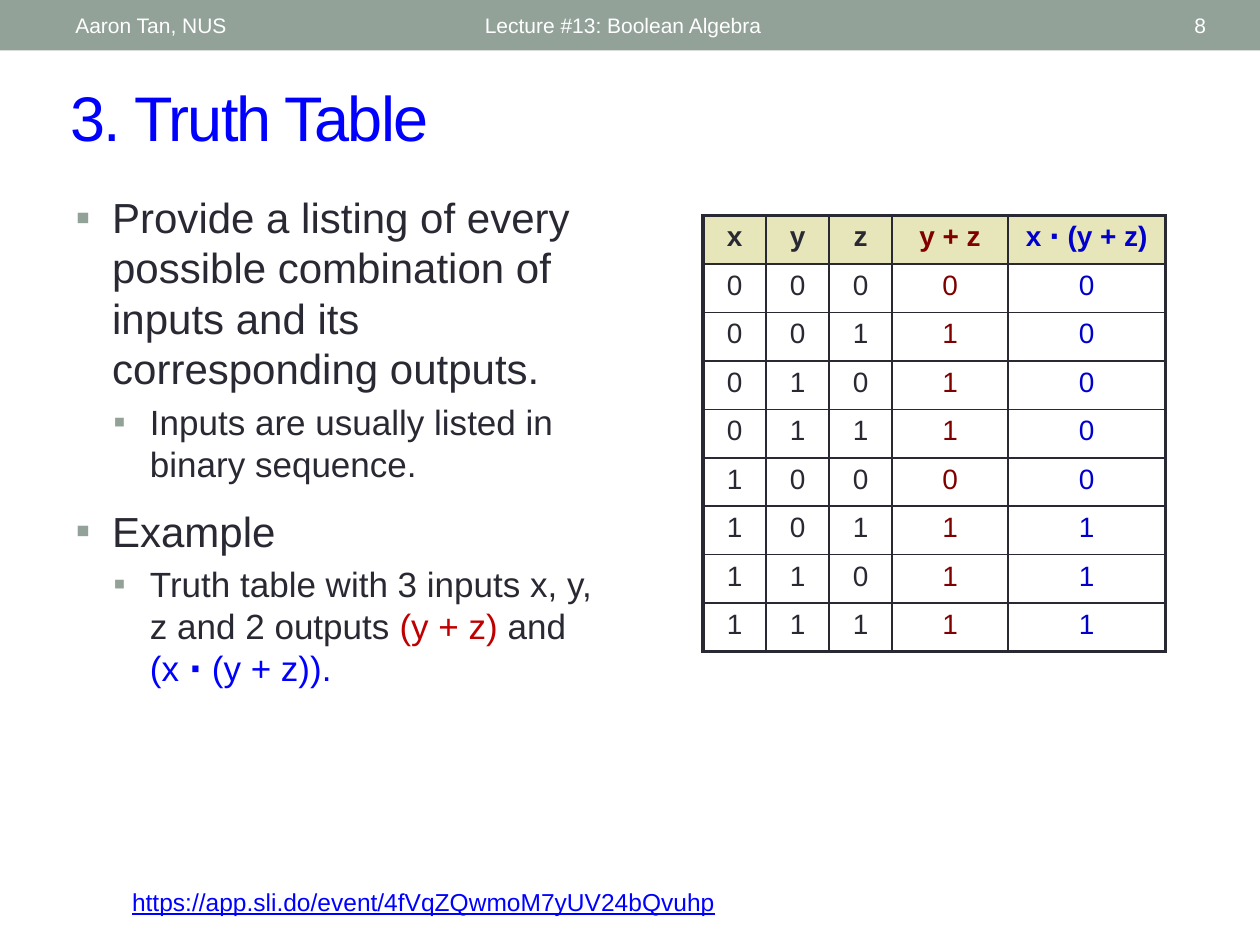
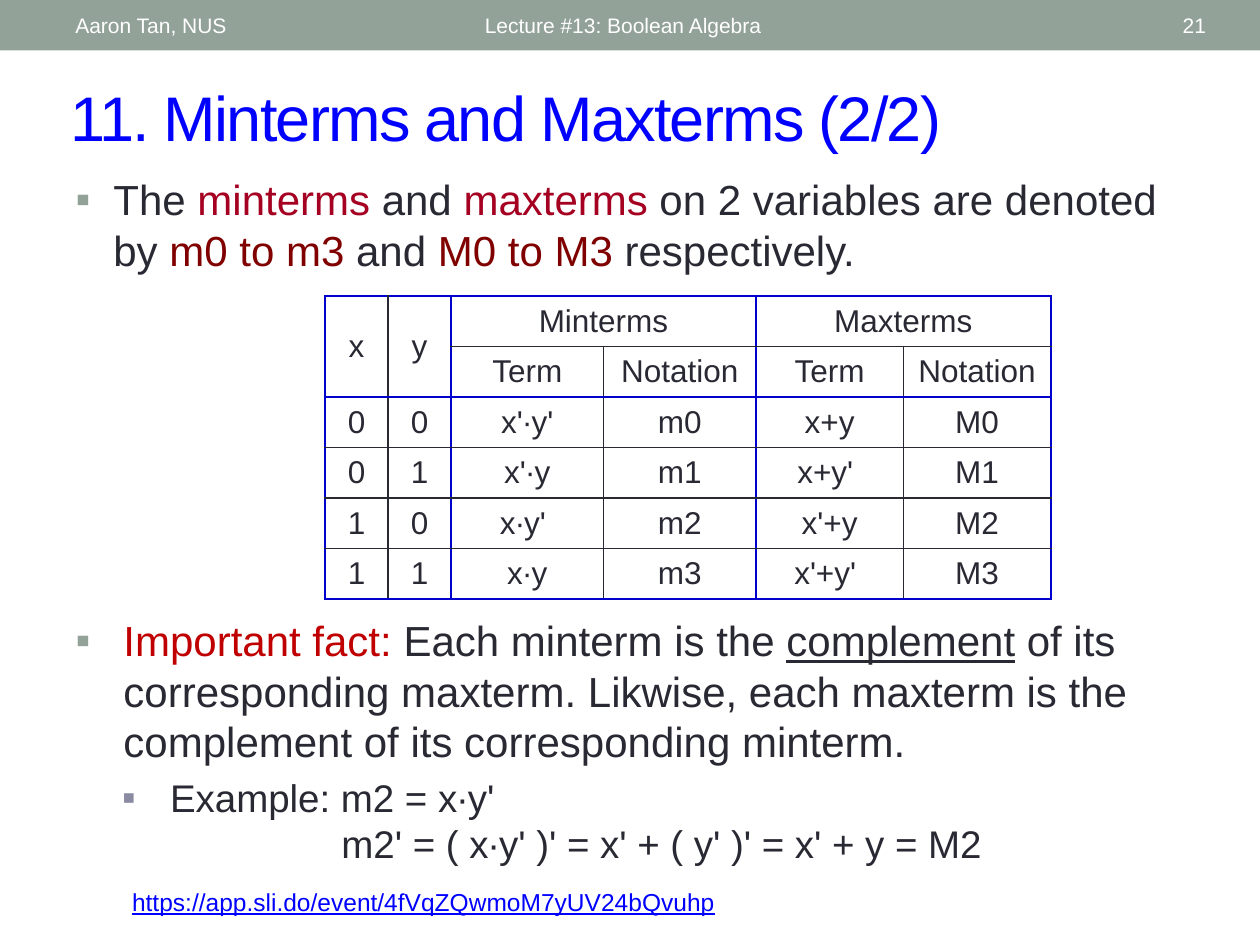
from lxml.etree import SubElement
from pptx import Presentation
from pptx.dml.color import RGBColor
from pptx.enum.shapes import MSO_SHAPE
from pptx.enum.text import MSO_ANCHOR, MSO_AUTO_SIZE, PP_ALIGN
from pptx.oxml.ns import qn
from pptx.util import Inches, Pt

COLOURS = {
    "band": "93A299", "white": "FFFFFF", "title": "0000FF", "ink": "292934",
    "red": "C00000", "crimson": "A50021", "maroon": "800000", "navy": "0000CC",
    "header": "E7E5BA", "lilac": "8A8AA3",
}
FONT = "Arial"
LINK = "https://app.sli.do/event/4fVqZQwmoM7yUV24bQvuhp"


def style(span, size, colour, look=""):
    span.font.name = FONT
    span.font.size = Pt(size)
    span.font.color.rgb = RGBColor.from_string(COLOURS[colour])
    span.font.bold = look == "bold"
    span.font.underline = look == "underline"


def add_line(parent, tag, colour, width):
    line = SubElement(parent, qn(tag), w=str(Pt(width)))
    fill = SubElement(line, qn("a:solidFill"))
    SubElement(fill, qn("a:srgbClr"), val=COLOURS[colour])


truth_list = [
    dict(size=24, margin=0.29, hang=0.29, before=0, bullet="band", spans=[
        ("Provide a listing of every possible combination of inputs "
         "and its corresponding outputs.", "ink")]),
    dict(level=1, size=20, margin=0.59, hang=0.29, before=4, bullet="band", spans=[
        ("Inputs are usually listed in binary sequence.", "ink")]),
    dict(size=24, margin=0.29, hang=0.29, before=12, bullet="band", spans=[
        ("Example", "ink")]),
    dict(level=1, size=20, margin=0.59, hang=0.29, before=4, bullet="band", spans=[
        ("Truth table with 3 inputs x, y, z and 2 outputs ", "ink"),
        ("(y + z) ", "red"), ("and \v", "ink"),
        ("(x ", "title"), ("⋅ ", "title", "bold"), ("(y + z)).", "title")]),
]
notation_list = [
    dict(size=24, margin=0.3, hang=0.3, before=0, bullet="band", spans=[
        ("The ", "ink"), ("minterms", "crimson"), (" and ", "ink"),
        ("maxterms", "crimson"), (" on 2 variables are denoted by ", "ink"),
        ("m0 to m3", "maroon"), (" and ", "ink"), ("M0 to M3", "maroon"),
        (" respectively.", "ink")]),
]
fact_list = [
    dict(size=24, margin=0.38, hang=0.38, before=0, bullet="band", spans=[
        ("Important fact: ", "red"), ("Each minterm is the ", "ink"),
        ("complement", "ink", "underline"),
        (" of its corresponding maxterm. Likwise, each maxterm is the "
         "complement of its corresponding minterm.", "ink")]),
    dict(level=1, size=22, margin=0.75, hang=0.38, before=4.4, bullet="lilac", spans=[
        ("Example: m2 = x∙y'", "ink")]),
    dict(level=1, size=22, margin=2.11, hang=0, before=0, bullet=None, spans=[
        ("m2' = ( x∙y' )' = x' + ( y' )' = x' + y = M2", "ink")]),
]

truth_rows = [["x", "y", "z", "y + z", "x ⋅ (y + z)"]]
for number in range(8):
    x, y, z = number >> 2, number >> 1 & 1, number & 1
    truth_rows.append([str(bit) for bit in (x, y, z, y | z, x & (y | z))])

term_rows = [
    ["x", "y", "Minterms", "", "Maxterms", ""],
    ["", "", "Term", "Notation", "Term", "Notation"],
    ["0", "0", "x'∙y'", "m0", "x+y", "M0"],
    ["0", "1", "x'∙y", "m1", "x+y' ", "M1"],
    ["1", "0", "x∙y' ", "m2", "x'+y", "M2"],
    ["1", "1", "x∙y", "m3", "x'+y' ", "M3"],
]

slides = [
    dict(title="3. Truth Table", number="8",
         bodies=[((0.5, 1.47, 4.5, 4.08), truth_list)],
         table=dict(rows=truth_rows, left=5.58, top=1.71, row_height=0.385,
                    widths=[0.5, 0.5, 0.5, 0.92, 1.25], size=16,
                    inks=["ink"] * 3 + ["maroon", "navy"], merges=[],
                    header="header", anchor=MSO_ANCHOR.TOP,
                    strong=("ink", 2.25), strong_x={0, 5}, strong_y={0, 9})),
    dict(title="11. Minterms and Maxterms (2/2)", number="21",
         bodies=[((0.5, 1.33, 8.83, 1), notation_list),
                 ((0.5, 4.83, 9, 2.35), fact_list)],
         table=dict(rows=term_rows, left=2.58, top=2.35, row_height=0.38,
                    widths=[0.5, 0.5, 1.21, 1.21, 1.17, 1.17], size=18,
                    inks=["ink"] * 6,
                    merges=[(0, 0, 1, 0), (0, 1, 1, 1), (0, 2, 0, 3), (0, 4, 0, 5)],
                    header=None, anchor=MSO_ANCHOR.MIDDLE,
                    strong=("navy", 1.5), strong_x={0, 2, 4, 6}, strong_y={0, 2, 6})),
]

deck = Presentation()
deck.slide_width = Inches(10)
deck.slide_height = Inches(7.5)

for content in slides:
    page = deck.slides.add_slide(deck.slide_layouts[1 if len(content["bodies"]) == 1 else 3])

    band = page.shapes.add_shape(MSO_SHAPE.RECTANGLE, 0, 0, Inches(10), Inches(0.4))
    band.shadow.inherit = False
    band.fill.solid()
    band.fill.fore_color.rgb = RGBColor.from_string(COLOURS["band"])
    band.line.fill.background()

    labels = [
        ((0.5, 0.02, 3.17, 0.36), "Aaron Tan, NUS", 12, "white", PP_ALIGN.LEFT),
        ((3.75, 0.02, 4.5, 0.36), "Lecture #13: Boolean Algebra", 12, "white", PP_ALIGN.LEFT),
        ((8.72, 0.02, 0.95, 0.36), content["number"], 12, "white", PP_ALIGN.RIGHT),
        ((0.95, 6.99, 7.77, 0.34), LINK, 14, "title", PP_ALIGN.LEFT),
    ]
    for place, text, size, colour, align in labels:
        box = page.shapes.add_textbox(*map(Inches, place))
        frame = box.text_frame
        frame.word_wrap = True
        frame.vertical_anchor = MSO_ANCHOR.TOP if text == LINK else MSO_ANCHOR.MIDDLE
        frame.text = text
        para = frame.paragraphs[0]
        para.alignment = align
        style(para.runs[0], size, colour, "underline" if text == LINK else "")

    title = page.shapes.title
    title.left, title.top, title.width, title.height = map(Inches, (0.46, 0.57, 9.07, 0.7))
    title.text_frame.text = content["title"]
    title.text_frame.auto_size = MSO_AUTO_SIZE.NONE
    title.text_frame.vertical_anchor = MSO_ANCHOR.MIDDLE
    para = title.text_frame.paragraphs[0]
    para.alignment = PP_ALIGN.LEFT
    style(para.runs[0], 36, "title")
    para.runs[0].font._element.set("spc", "-100")

    for body, (place, items) in zip(list(page.placeholders)[1:], content["bodies"]):
        body.left, body.top, body.width, body.height = map(Inches, place)
        frame = body.text_frame
        frame.auto_size = MSO_AUTO_SIZE.NONE
        for index, item in enumerate(items):
            para = frame.add_paragraph() if index else frame.paragraphs[0]
            para.level = item.get("level", 0)
            para.space_before = Pt(item["before"])
            props = para._p.get_or_add_pPr()
            props.set("marL", str(Inches(item["margin"])))
            props.set("indent", str(-Inches(item["hang"])))
            if item["bullet"]:
                tint = SubElement(props, qn("a:buClr"))
                SubElement(tint, qn("a:srgbClr"), val=COLOURS[item["bullet"]])
                SubElement(props, qn("a:buFont"), typeface=FONT)
                SubElement(props, qn("a:buChar"), char="▪")
            else:
                SubElement(props, qn("a:buNone"))
            for text, *look in item["spans"]:
                span = para.add_run()
                span.text = text.rstrip("\v")
                style(span, item["size"], *look)
                if text.endswith("\v"):
                    para.add_line_break()

    spec_table = content["table"]
    rows, widths = spec_table["rows"], spec_table["widths"]
    table = page.shapes.add_table(
        len(rows), len(widths), Inches(spec_table["left"]), Inches(spec_table["top"]),
        Inches(sum(widths)), Inches(spec_table["row_height"] * len(rows))).table
    table.first_row = False
    table.horz_banding = False
    for column, width in zip(table.columns, widths):
        column.width = Inches(width)
    for row in table.rows:
        row.height = Inches(spec_table["row_height"])
    for top, left, bottom, right in spec_table["merges"]:
        table.cell(top, left).merge(table.cell(bottom, right))

    for r, texts in enumerate(rows):
        for c, text in enumerate(texts):
            cell = table.cell(r, c)
            if cell.is_spanned:
                continue
            high = cell.span_height if cell.is_merge_origin else 1
            wide = cell.span_width if cell.is_merge_origin else 1
            cell.text = text
            cell.vertical_anchor = spec_table["anchor"]
            para = cell.text_frame.paragraphs[0]
            para.alignment = PP_ALIGN.CENTER
            bold = "bold" if spec_table["header"] and r == 0 else ""
            style(para.runs[0], spec_table["size"], spec_table["inks"][c], bold)
            edges = [("a:lnL", c in spec_table["strong_x"]),
                     ("a:lnR", c + wide in spec_table["strong_x"]),
                     ("a:lnT", r in spec_table["strong_y"]),
                     ("a:lnB", r + high in spec_table["strong_y"])]
            for tag, is_strong in edges:
                add_line(cell._tc.get_or_add_tcPr(), tag,
                         *(spec_table["strong"] if is_strong else ("ink", 1)))
            if bold:
                cell.fill.solid()
                cell.fill.fore_color.rgb = RGBColor.from_string(COLOURS["header"])
            else:
                cell.fill.background()

deck.save("out.pptx")
